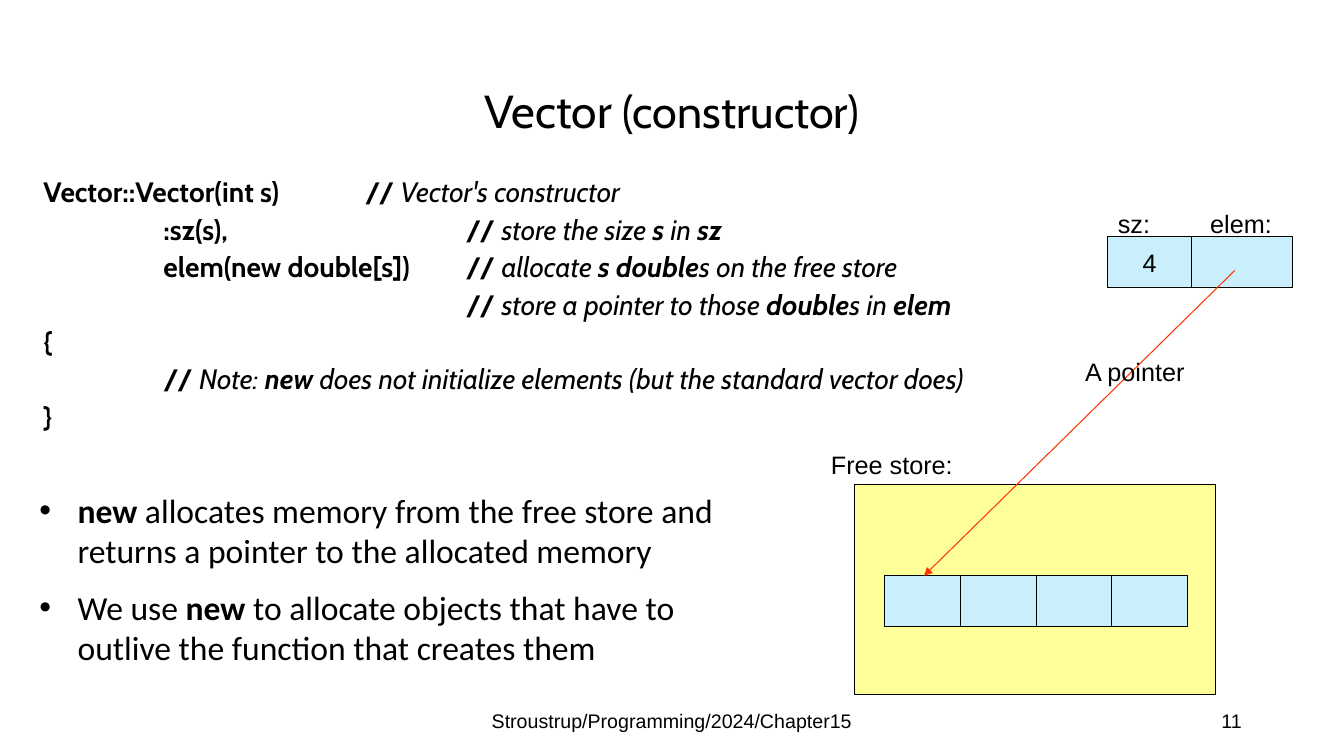
"""Builds the slide that explains the Vector constructor and the free store."""
from dataclasses import dataclass

from lxml import etree
from pptx import Presentation
from pptx.dml.color import RGBColor
from pptx.enum.shapes import MSO_CONNECTOR, MSO_SHAPE
from pptx.enum.text import MSO_ANCHOR, PP_ALIGN
from pptx.oxml.ns import qn
from pptx.util import Inches, Pt

RECTANGLE = MSO_SHAPE.RECTANGLE
STRAIGHT = MSO_CONNECTOR.STRAIGHT
LEFT, CENTER, RIGHT = PP_ALIGN.LEFT, PP_ALIGN.CENTER, PP_ALIGN.RIGHT
TOP, MIDDLE = MSO_ANCHOR.TOP, MSO_ANCHOR.MIDDLE

SLIDE_WIDTH, SLIDE_HEIGHT = Inches(13.333), Inches(7.5)
COLUMNS, ROWS = 160, 90
CELL_HEIGHT = 6
LABEL_HEIGHT = 4.8
TAB_WIDTH = Inches(1)


@dataclass(frozen=True)
class Theme:
    """Colours, fonts and type sizes of the slide."""

    ink: RGBColor = RGBColor(0x00, 0x00, 0x00)
    store: RGBColor = RGBColor(0xFF, 0xFF, 0x99)
    cell: RGBColor = RGBColor(0xCA, 0xEE, 0xFB)
    pointer: RGBColor = RGBColor(0xFF, 0x33, 0x00)
    code_font: str = "Cabin"
    prose_font: str = "Calibri"
    label_font: str = "Arial"
    title_size: float = 33
    subtitle_size: float = 32
    prose_size: float = 24
    code_size: float = 20
    label_size: float = 18
    footer_size: float = 14
    line_width: float = 0.75


THEME = Theme()

CODE_LINES = [
    [("Vector::Vector(int s)\t// ", "b"), ("Vector's constructor", "i")],
    [("\t\t:sz(s),\t\t\t// ", "b"), ("store the size", "i"), (" s ", "bi"),
     ("in ", "i"), ("sz", "bi")],
    [("\t \telem(new double[s])\t// ", "b"), ("allocate", "i"),
     (" s double", "bi"), ("s on the free store", "i")],
    [("\t\t\t\t\t// ", "b"), ("store a pointer to those", "i"),
     (" double", "bi"), ("s in ", "i"), ("elem", "bi")],
    [("{", "b")],
    [("\t\t// ", "b"), ("Note:", "i"), (" new ", "bi"),
     ("does not initialize elements (but the standard vector does)", "i")],
    [("}", "b")],
]

BULLETS = [
    [("new", "b"), (" allocates memory from the free store and returns "
                    "a pointer to the allocated memory", "")],
    [("We use ", ""), ("new", "b"),
     (" to allocate objects that have to outlive the function "
      "that creates them", "")],
]


def across(columns):
    """Return the length of a number of grid columns."""
    return round(SLIDE_WIDTH * columns / COLUMNS)


def down(rows):
    """Return the length of a number of grid rows."""
    return round(SLIDE_HEIGHT * rows / ROWS)


def place(left, top, width, height):
    """Turn a grid rectangle into slide lengths."""
    return across(left), down(top), across(width), down(height)


def style_run(run, font, size, style=""):
    """Format a run; the style holds b for bold and i for italic."""
    run.font.name, run.font.size = font, Pt(size)
    run.font.color.rgb = THEME.ink
    run.font.bold, run.font.italic = "b" in style, "i" in style


def style_line(line, color):
    """Give a line its colour and the common width."""
    line.color.rgb = color
    line.width = Pt(THEME.line_width)


def add_title(slide):
    """Fill and place the title placeholder."""
    title = slide.shapes.title
    title.left, title.top, title.width, title.height = place(11, 4.8, 138, 17.4)
    title.text_frame.vertical_anchor = MIDDLE
    paragraph = title.text_frame.paragraphs[0]
    paragraph.alignment, paragraph.line_spacing = CENTER, 0.9
    for text, size in (("Vector ", THEME.title_size),
                       ("(constructor)", THEME.subtitle_size)):
        run = paragraph.add_run()
        run.text = text
        style_run(run, THEME.code_font, size)


def add_label(slide, text, area, size=THEME.label_size, alignment=LEFT, anchor=TOP):
    """Add a one-line text box."""
    frame = slide.shapes.add_textbox(*place(*area)).text_frame
    frame.word_wrap, frame.vertical_anchor = True, anchor
    frame.text = text
    frame.paragraphs[0].alignment = alignment
    style_run(frame.paragraphs[0].runs[0], THEME.label_font, size)


def add_text_block(slide, lines, area, font, size, indent, gap,
                   spacing=1.0, bullet=None):
    """Add paragraphs of mixed runs with a hanging indent."""
    frame = slide.shapes.add_textbox(*place(*area)).text_frame
    frame.word_wrap = True
    for index, line in enumerate(lines):
        paragraph = frame.add_paragraph() if index else frame.paragraphs[0]
        paragraph.space_before, paragraph.line_spacing = Pt(gap), spacing
        for text, style in line:
            run = paragraph.add_run()
            run.text = text
            style_run(run, font, size, style)
        properties = paragraph._p.get_or_add_pPr()
        properties.set("marL", str(Inches(indent)))
        properties.set("indent", str(-Inches(indent)))
        properties.set("defTabSz", str(TAB_WIDTH))
        if bullet:
            etree.SubElement(properties, qn("a:buFont"), typeface="Arial")
            etree.SubElement(properties, qn("a:buChar"), char=bullet)


def add_box(slide, area, fill, text=""):
    """Add an outlined rectangle with optional centred text."""
    box = slide.shapes.add_shape(RECTANGLE, *place(*area))
    box.shadow.inherit = False
    box.fill.solid()
    box.fill.fore_color.rgb = fill
    style_line(box.line, THEME.ink)
    if text:
        frame = box.text_frame
        frame.word_wrap, frame.vertical_anchor = False, MIDDLE
        frame.text = text
        frame.paragraphs[0].alignment = CENTER
        style_run(frame.paragraphs[0].runs[0], THEME.label_font, THEME.label_size)


def add_cells(slide, left, top, cells):
    """Add adjoining memory cells given as width and text."""
    for width, text in cells:
        add_box(slide, (left, top, width, CELL_HEIGHT), THEME.cell, text)
        left += width


def add_arrow(slide, start, end):
    """Add a pointer arrow between two grid points."""
    arrow = slide.shapes.add_connector(
        STRAIGHT, across(start[0]), down(start[1]), across(end[0]), down(end[1]))
    style_line(arrow.line, THEME.pointer)
    etree.SubElement(arrow.line._get_or_add_ln(), qn("a:tailEnd"), type="triangle")
    etree.SubElement(arrow._element.spPr, qn("a:effectLst"))


def main():
    """Build and save the slide."""
    presentation = Presentation()
    presentation.slide_width = SLIDE_WIDTH
    presentation.slide_height = SLIDE_HEIGHT
    slide = presentation.slides.add_slide(presentation.slide_layouts[5])

    add_title(slide)
    add_text_block(slide, CODE_LINES, (4, 21, 147, 28), THEME.code_font,
                   THEME.code_size, indent=0.19, gap=7.5, spacing=0.8)
    add_label(slide, "Stroustrup/Programming/2024/Chapter15",
              (53, 83.4, 54, LABEL_HEIGHT), THEME.footer_size, CENTER, MIDDLE)
    add_label(slide, "11", (113, 83.4, 36, LABEL_HEIGHT),
              THEME.footer_size, RIGHT, MIDDLE)

    add_box(slide, (101.67, 57.7, 43, 25), THEME.store)
    add_label(slide, "Free store:", (97.75, 52.9, 18, LABEL_HEIGHT))
    add_cells(slide, 131.85, 28.2, [(10, "4"), (12, "")])
    add_cells(slide, 105.35, 68.55, [(9, "")] * 4)
    add_arrow(slide, (147, 32.2), (110, 68.55))
    add_text_block(slide, BULLETS, (3.5, 57.7, 83.5, 23), THEME.prose_font,
                   THEME.prose_size, indent=0.38, gap=12, bullet="•")
    add_label(slide, "A pointer", (128, 41.8, 18, LABEL_HEIGHT))
    add_label(slide, "sz:", (131.9, 24.25, 10, LABEL_HEIGHT))
    add_label(slide, "elem:", (142.9, 24.25, 13, LABEL_HEIGHT))
    presentation.save("out.pptx")


if __name__ == "__main__":
    main()
